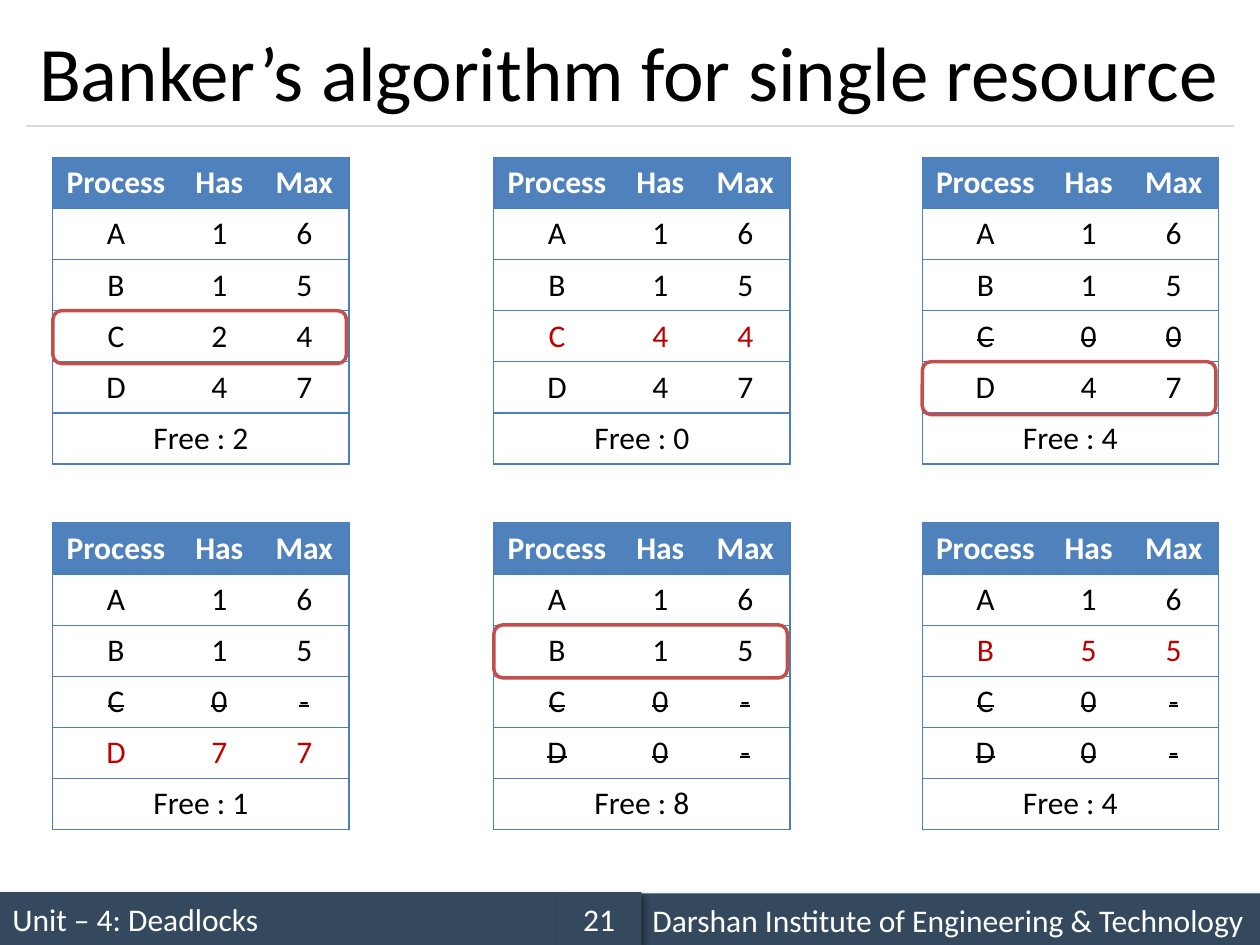
import pptx
import pptx.dml.color
import pptx.enum.shapes
import pptx.enum.text
import pptx.oxml
import pptx.oxml.ns
import pptx.util

TITLE = "Banker’s algorithm for single resource"
HEADER = ("Process", "Has", "Max")
RED, STRUCK = "red", "struck"

# One entry per step: process rows (with optional mark), free units, ringed row
STEPS = [
    ([("A", "1", "6"), ("B", "1", "5"), ("C", "2", "4"), ("D", "4", "7")], 2, 3),
    ([("A", "1", "6"), ("B", "1", "5"), ("C", "4", "4", RED), ("D", "4", "7")], 0, None),
    ([("A", "1", "6"), ("B", "1", "5"), ("C", "0", "0", STRUCK), ("D", "4", "7")], 4, 4),
    ([("A", "1", "6"), ("B", "1", "5"), ("C", "0", "-", STRUCK), ("D", "7", "7", RED)], 1, None),
    ([("A", "1", "6"), ("B", "1", "5"), ("C", "0", "-", STRUCK), ("D", "0", "-", STRUCK)], 8, 2),
    ([("A", "1", "6"), ("B", "5", "5", RED), ("C", "0", "-", STRUCK), ("D", "0", "-", STRUCK)], 4, None),
]
# Footer bars: text, left, top, width, centred
FOOTER = [
    ("Unit – 4: Deadlocks", 0, 7.08, 4.42, False),
    ("Darshan Institute of Engineering & Technology", 5.08, 7.09, 4.92, False),
    ("21", 4.42, 7.08, 0.67, True),
]
TABLE_LEFTS, TABLE_TOPS = (0.42, 3.92, 7.32), (1.25, 4.15)
COL_WIDTHS = (1, 0.64, 0.71)
ROW_H, BAR_H = 2.43 / 6, 0.42
FONT, BLACK, WHITE = "Calibri", "000000", "FFFFFF"
BLUE, BORDER = "4F81BD", "4B7EBC"
ALIGN = pptx.enum.text.PP_ALIGN
SHAPE = pptx.enum.shapes.MSO_SHAPE
MIDDLE = pptx.enum.text.MSO_ANCHOR.MIDDLE
inch = pptx.util.Inches


def rgb(value):
    return pptx.dml.color.RGBColor.from_string(value)


def add_xml(parent, xml):
    ns = pptx.oxml.ns.nsdecls("a")
    parent.append(pptx.oxml.parse_xml(xml.replace(">", f" {ns}>", 1)))


def write(tf, text, color, size=18, align=ALIGN.CENTER, bold=False):
    p = tf.paragraphs[0]
    p.alignment = align
    r = p.add_run()
    r.text = text
    f = p.font
    f.name, f.size, f.bold = FONT, pptx.util.Pt(size), bold
    f.color.rgb = r.font.color.rgb = rgb(color)
    r.font.name, r.font.size, r.font.bold = f.name, f.size, bold
    return r


def set_borders(cell, sides):
    for side in "LRTB":
        paint = f'<a:solidFill><a:srgbClr val="{BORDER}"/></a:solidFill>' if side in sides else "<a:noFill/>"
        add_xml(cell._tc.get_or_add_tcPr(), f'<a:ln{side} w="9525">{paint}</a:ln{side}>')


def add_step(s, left, top, processes, free):
    rows = [HEADER, *processes, (f"Free : {free}", "", "")]
    table = s.shapes.add_table(len(rows), 3, inch(left), inch(top),
                               inch(sum(COL_WIDTHS)), inch(ROW_H * len(rows))).table
    table.horz_banding = False
    for col, width in zip(table.columns, COL_WIDTHS):
        col.width = inch(width)
    last = len(rows) - 1
    table.cell(last, 0).merge(table.cell(last, 2))
    for i, (*texts, mark) in enumerate(row if len(row) == 4 else (*row, None) for row in rows):
        for j, text in enumerate(texts):
            cell = table.cell(i, j)
            outer = "LR" if i == last else ("L", "", "R")[j]
            set_borders(cell, "TB" + outer)
            if i == 0:
                cell.fill.solid()
                cell.fill.fore_color.rgb = rgb(BLUE)
            else:
                cell.fill.background()
            if text:
                color = WHITE if i == 0 else "C00000" if mark == RED else BLACK
                r = write(cell.text_frame, text, color, bold=i == 0)
                if mark == STRUCK:
                    r._r.get_or_add_rPr().set("strike", "sngStrike")


def add_bar(s, text, left, top, width, centred):
    sp = s.shapes.add_shape(SHAPE.RECTANGLE, inch(left), inch(top), inch(width), inch(BAR_H))
    sp.fill.solid()
    sp.fill.fore_color.rgb = rgb("34495E")
    sp.line.fill.background()
    add_xml(sp._element.spPr,
            '<a:effectLst><a:outerShdw blurRad="50800" dist="38100" dir="2700000" algn="tl" rotWithShape="0">'
            '<a:srgbClr val="000000"><a:alpha val="40000"/></a:srgbClr></a:outerShdw></a:effectLst>')
    sp.text_frame.word_wrap = True
    sp.text_frame.vertical_anchor = MIDDLE
    write(sp.text_frame, text, WHITE, align=ALIGN.CENTER if centred else ALIGN.LEFT)


def add_ring(s, left, top):
    sp = s.shapes.add_shape(SHAPE.ROUNDED_RECTANGLE, inch(left), inch(top), inch(2.33), inch(0.42))
    sp.shadow.inherit = False
    sp.fill.background()
    sp.line.color.rgb = rgb("C0504D")
    sp.line.width = pptx.util.Pt(2)


def main():
    prs = pptx.Presentation()
    prs.slide_width, prs.slide_height = inch(10), inch(7.5)
    s = prs.slides.add_slide(prs.slide_layouts[5])

    # Title and rule
    title = s.shapes.title
    title.left, title.top, title.width, title.height = map(inch, (0.21, 0.12, 9.58, 0.88))
    title.text_frame.vertical_anchor = MIDDLE
    write(title.text_frame, TITLE, BLACK, 44, ALIGN.LEFT)
    rule = s.shapes.add_connector(pptx.enum.shapes.MSO_CONNECTOR.STRAIGHT,
                                  inch(0.21), inch(1), inch(9.79), inch(1))
    rule.line.color.rgb = rgb("D9D9D9")
    rule.line.width = pptx.util.Pt(0.75)
    add_xml(rule._element.spPr, "<a:effectLst></a:effectLst>")

    # Footer
    for bar in FOOTER:
        add_bar(s, *bar)

    # Steps in a grid of three columns, then the rings on top
    places = [(left, top) for top in TABLE_TOPS for left in TABLE_LEFTS]
    for (left, top), (processes, free, _) in zip(places, STEPS):
        add_step(s, left, top, processes, free)
    for (left, top), (_, _, ringed) in zip(places, STEPS):
        if ringed:
            add_ring(s, left, top + ringed * ROW_H)

    prs.save("out.pptx")


if __name__ == "__main__":
    main()
